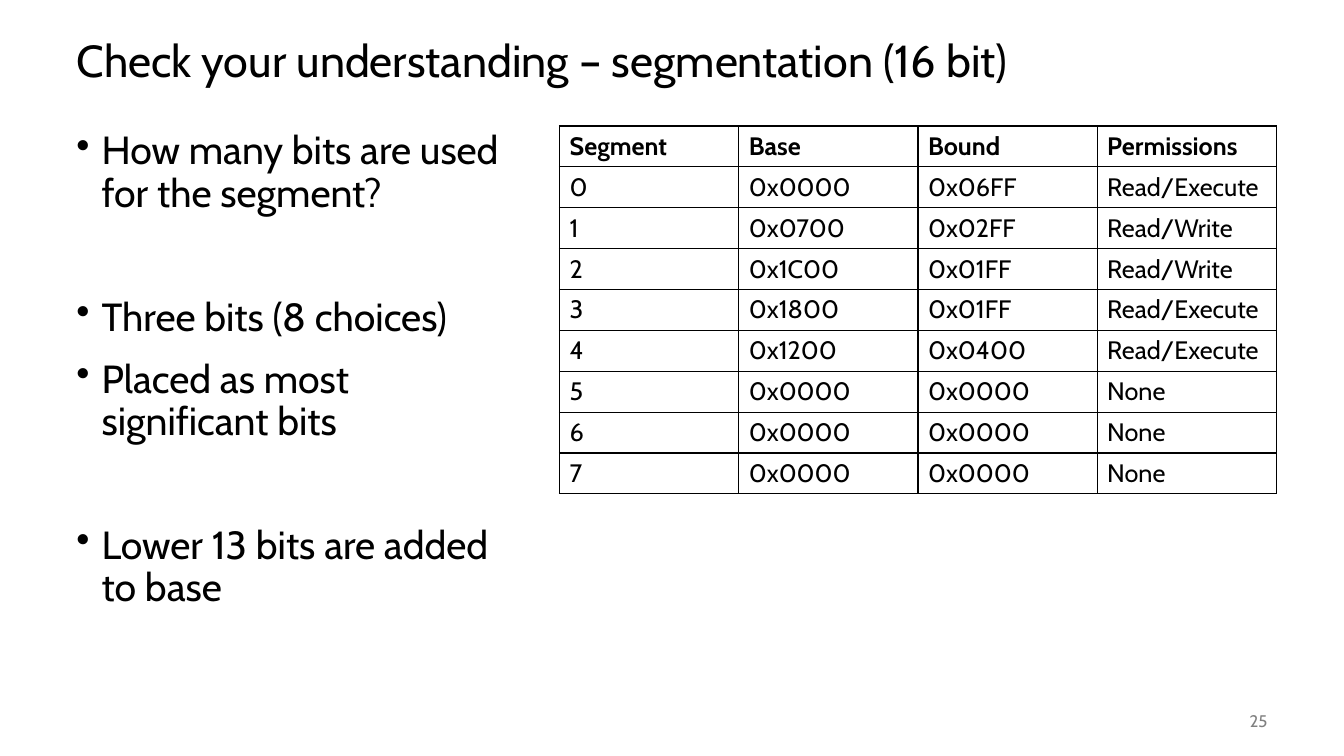
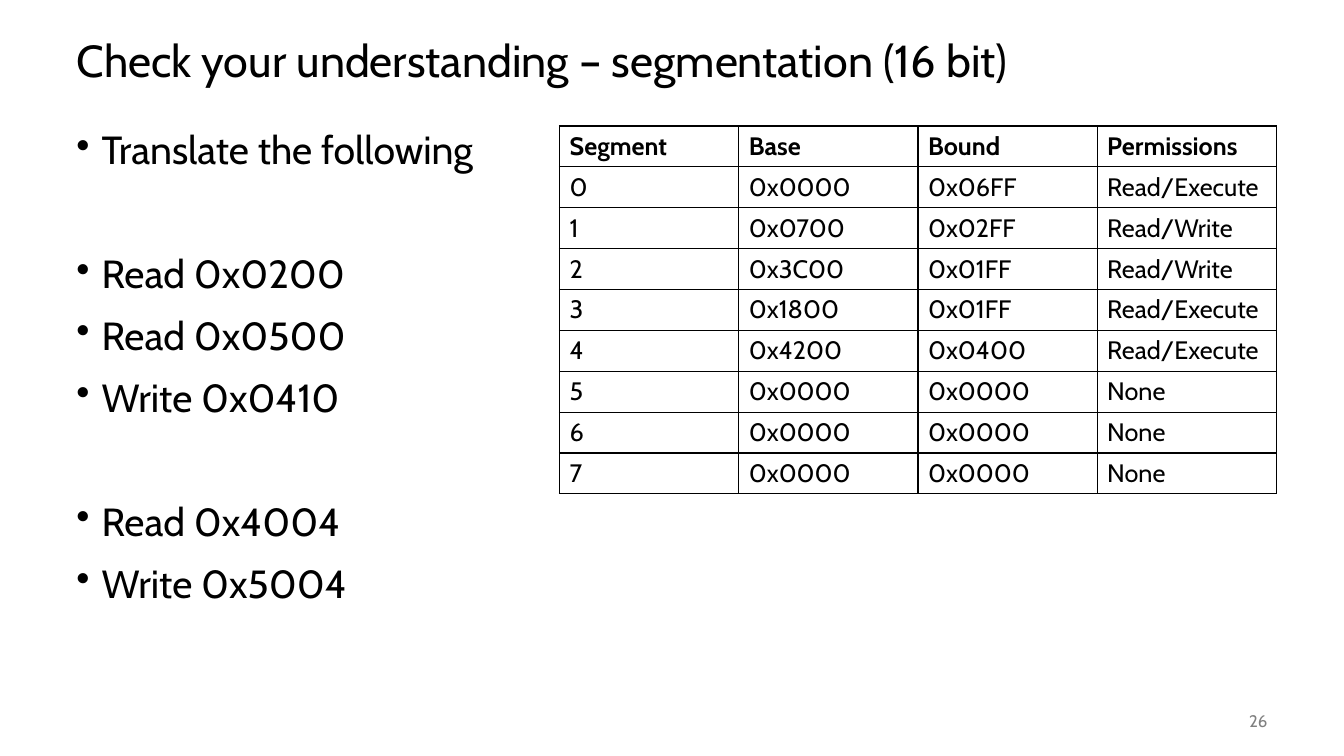
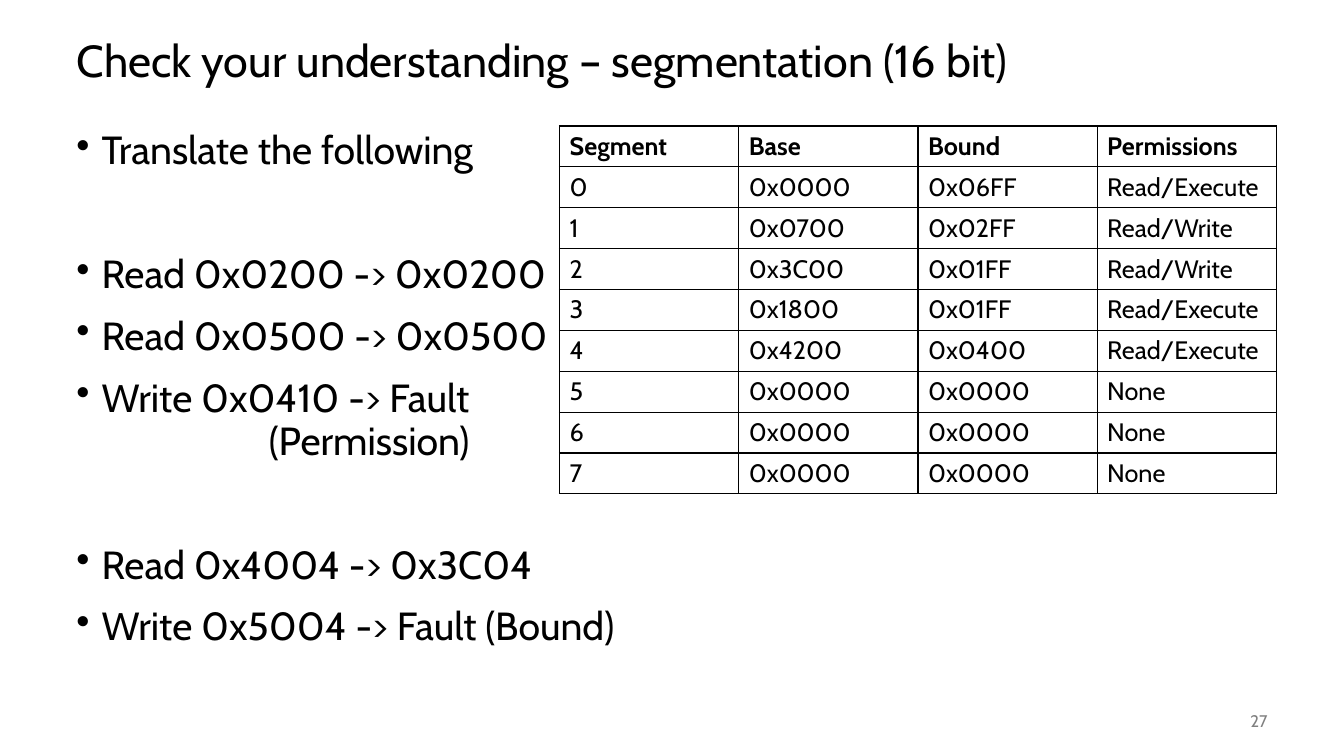
from lxml.etree import SubElement
from pptx import Presentation
from pptx.dml.color import RGBColor
from pptx.enum.text import MSO_ANCHOR, PP_ALIGN
from pptx.oxml.ns import qn
from pptx.util import Inches, Pt

BLACK = RGBColor(0x00, 0x00, 0x00)
GRAY = RGBColor(0x80, 0x80, 0x80)
FONT = "Cabin"
TITLE = "Check your understanding – segmentation (16 bit)"
FIRST_NUMBER = 25

HEADER = ["Segment", "Base", "Bound", "Permissions"]
BOUNDS = ["0x06FF", "0x02FF", "0x01FF", "0x01FF", "0x0400"] + ["0x0000"] * 3
PERMISSIONS = ["Read/Execute", "Read/Write", "Read/Write",
               "Read/Execute", "Read/Execute"] + ["None"] * 3


def add_text(p, text, size=28, color=BLACK, bold=False, align=None, spacing=None):
    """Add one formatted run to a paragraph."""
    r = p.add_run()
    r.text = text
    r.font.name = FONT
    r.font.size = Pt(size)
    r.font.bold = bold
    r.font.color.rgb = color
    if align is not None:
        p.alignment = align
    if spacing is not None:
        p.line_spacing = spacing


def set_borders(cell, color=BLACK, width=1):
    """Draw a solid line on all four sides of a table cell."""
    tcPr = cell._tc.get_or_add_tcPr()
    for side in ("lnL", "lnR", "lnT", "lnB"):
        ln = SubElement(tcPr, qn("a:" + side), w=str(Pt(width)))
        fill = SubElement(ln, qn("a:solidFill"))
        SubElement(fill, qn("a:srgbClr"), val=str(color))


class Deck:
    LEFT = 0.66
    TOP = 1.25
    INDENT = 0.25
    SPACE = 14       # points between bullets
    GROUP_GAP = 58.3   # points between groups of bullets
    CONTINUED = 1.91   # indent of a continued line

    def __init__(self):
        self.prs = Presentation()
        self.prs.slide_width = Inches(13.33)
        self.prs.slide_height = Inches(7.5)
        self.s = None

    def add_slide(self, number):
        self.s = self.prs.slides.add_slide(self.prs.slide_layouts[6])
        # Title
        tf = self.text_box(self.LEFT, 0.25, 12, 0.75, MSO_ANCHOR.MIDDLE)
        add_text(tf.paragraphs[0], TITLE, size=32, spacing=0.9)
        # Slide number
        tf = self.text_box(11.67, 6.95, 1, 0.4, MSO_ANCHOR.MIDDLE)
        add_text(tf.paragraphs[0], str(number), size=12, color=GRAY,
                 align=PP_ALIGN.RIGHT)

    def text_box(self, left, top, width, height, anchor=MSO_ANCHOR.TOP):
        sp = self.s.shapes.add_textbox(Inches(left), Inches(top),
                                       Inches(width), Inches(height))
        tf = sp.text_frame
        tf.word_wrap = True
        tf.vertical_anchor = anchor
        return tf

    def bullets(self, groups, width):
        """Groups of bullets; a line after a newline continues its bullet."""
        tf = self.text_box(self.LEFT, self.TOP, width, 5.5)
        p = None
        for group in groups:
            for i, item in enumerate(group):
                text, *continued = item.split("\n")
                space = self.SPACE if i else self.GROUP_GAP
                if p is None:
                    p, space = tf.paragraphs[0], 0
                else:
                    p = tf.add_paragraph()
                self.bullet_line(p, text, space)
                for line in continued:
                    p = tf.add_paragraph()
                    self.bullet_line(p, line, 0, bullet=False)

    def bullet_line(self, p, text, space, bullet=True):
        pPr = p._p.get_or_add_pPr()
        pPr.set("marL", str(Inches(self.INDENT if bullet else self.CONTINUED)))
        pPr.set("indent", str(Inches(-self.INDENT if bullet else 0)))
        if bullet:
            SubElement(pPr, qn("a:buChar"), char="•")
        else:
            SubElement(pPr, qn("a:buNone"))
        p.space_before = Pt(space)
        add_text(p, text, spacing=0.9)

    def table(self, rows):
        frame = self.s.shapes.add_table(len(rows), len(rows[0]), Inches(5.55),
                                        Inches(self.TOP), Inches(7.11), Inches(3.65))
        table = frame.table
        table.first_row = table.horz_banding = False
        for i, row in enumerate(rows):
            for j, value in enumerate(row):
                cell = table.cell(i, j)
                set_borders(cell)
                cell.fill.background()
                add_text(cell.text_frame.paragraphs[0], value, size=18, bold=i == 0)


def segment_rows(base_2, base_4):
    """Segment table; the bases of segments 2 and 4 vary."""
    bases = ["0x0000", "0x0700", base_2, "0x1800", base_4] + ["0x0000"] * 3
    numbers = map(str, range(len(bases)))
    return [HEADER, *zip(numbers, bases, BOUNDS, PERMISSIONS)]


# Each slide: bullet groups, bullet width, bases of segments 2 and 4
SLIDES = [
    ([["How many bits are used for the segment?"],
      ["Three bits (8 choices)", "Placed as most significant bits"],
      ["Lower 13 bits are added to base"]],
     4.47, ("0x1C00", "0x1200")),
    ([["Translate the following"],
      ["Read 0x0200", "Read 0x0500", "Write 0x0410"],
      ["Read 0x4004", "Write 0x5004"]],
     4.47, ("0x3C00", "0x4200")),
    ([["Translate the following"],
      ["Read 0x0200 -> 0x0200", "Read 0x0500 -> 0x0500",
       "Write 0x0410 -> Fault\n(Permission)"],
      ["Read 0x4004 -> 0x3C04", "Write 0x5004 -> Fault (Bound)"]],
     6, ("0x3C00", "0x4200")),
]


def main():
    deck = Deck()
    for number, (groups, width, bases) in enumerate(SLIDES, FIRST_NUMBER):
        deck.add_slide(number)
        deck.bullets(groups, width)
        deck.table(segment_rows(*bases))
    deck.prs.save("out.pptx")


if __name__ == "__main__":
    main()
